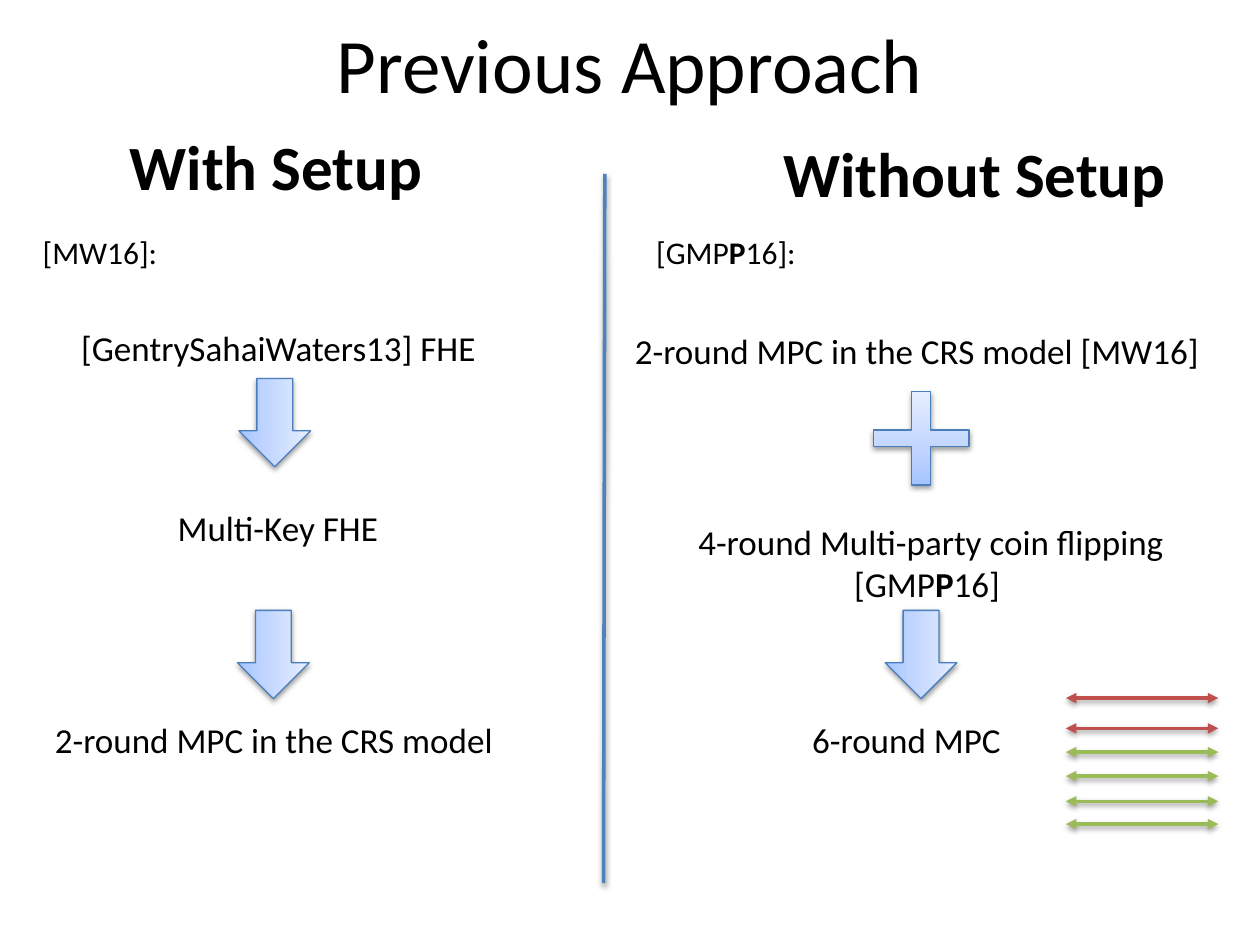
import copy
from dataclasses import dataclass

import lxml.etree
import pptx
import pptx.dml.color
import pptx.enum.shapes
import pptx.enum.text
import pptx.oxml.ns
import pptx.util

Pt = pptx.util.Pt
RGB = pptx.dml.color.RGBColor.from_string
qn = pptx.oxml.ns.qn
SHAPES = pptx.enum.shapes.MSO_SHAPE
ALIGN = pptx.enum.text.PP_ALIGN


@dataclass(frozen=True)
class Theme:
    font: str = "Calibri"
    text: str = "000000"
    outline: str = "4B7EBC"
    divider: str = "4F81BD"
    red: str = "C0504D"
    green: str = "9BBB59"
    gradient: tuple = ((0, "A4C4FF"), (0.35, "BFD4FF"), (1, "E6EEFF"))
    title_size: float = 44
    heading_size: float = 36
    step_size: float = 20
    citation_size: float = 18


class SlideBuilder:
    def __init__(self, slide, theme):
        self.slide = slide
        self.theme = theme

    def text(self, text, left, top, width, height, size, bold=False,
             align=ALIGN.CENTER, wrap=True, middle=False):
        """Add a text box; parts between asterisks are bold."""
        box = self.slide.shapes.add_textbox(Pt(left), Pt(top), Pt(width), Pt(height))
        frame = box.text_frame
        frame.word_wrap = wrap
        if middle:
            frame.vertical_anchor = pptx.enum.text.MSO_ANCHOR.MIDDLE
        else:
            frame.auto_size = pptx.enum.text.MSO_AUTO_SIZE.SHAPE_TO_FIT_TEXT
        paragraph = frame.paragraphs[0]
        paragraph.alignment = align
        font = paragraph.font
        font.name, font.size, font.bold = self.theme.font, Pt(size), bold
        font.color.rgb = RGB(self.theme.text)
        for index, part in enumerate(text.split("*")):
            run = paragraph.add_run()
            run.text = part
            if index % 2:
                run.font.bold = True

    def heading(self, text, left, top, width):
        self.text(text, left, top, width, 51, self.theme.heading_size,
                  bold=True, align=ALIGN.LEFT, wrap=False)

    def citation(self, text, left, width):
        self.text(text, left, 129.6, width, 29, self.theme.citation_size,
                  align=ALIGN.LEFT, wrap=False)

    def step(self, text, left, top, width, height=31.5):
        self.text(text, left, top, width, height, self.theme.step_size)

    def shadow(self, shape):
        properties = shape._element.spPr
        effects = lxml.etree.SubElement(properties, qn("a:effectLst"))
        outer = lxml.etree.SubElement(
            effects, qn("a:outerShdw"), blurRad=str(Pt(3.15)), dist=str(Pt(1.6)),
            dir="5400000", rotWithShape="0")
        color = lxml.etree.SubElement(outer, qn("a:srgbClr"), val="000000")
        lxml.etree.SubElement(color, qn("a:alpha"), val="38000")

    def gradient_shape(self, kind, left, top, width, height):
        shape = self.slide.shapes.add_shape(kind, Pt(left), Pt(top), Pt(width), Pt(height))
        shape.fill.gradient()
        shape.fill.gradient_angle = 90
        stop_list = shape._element.spPr.find(qn("a:gradFill")).find(qn("a:gsLst"))
        stop_list.append(copy.deepcopy(stop_list[-1]))
        for stop, (position, color) in zip(shape.fill.gradient_stops, self.theme.gradient):
            stop.position = position
            stop.color.rgb = RGB(color)
        shape.line.color.rgb = RGB(self.theme.outline)
        shape.line.width = Pt(0.75)
        self.shadow(shape)
        return shape

    def down_arrow(self, left, top):
        arrow = self.gradient_shape(SHAPES.RIGHT_ARROW, left, top, 50.4, 41)
        arrow.rotation = 90

    def plus(self, left, top, width, height):
        plus = self.gradient_shape(SHAPES.CROSS, left, top, width, height)
        plus.adjustments[0] = 0.41

    def line(self, x1, y1, x2, y2, color, arrows=False):
        connector = self.slide.shapes.add_connector(
            pptx.enum.shapes.MSO_CONNECTOR.STRAIGHT, Pt(x1), Pt(y1), Pt(x2), Pt(y2))
        connector.line.color.rgb = RGB(color)
        connector.line.width = Pt(2)
        if arrows:
            outline = connector.line._get_or_add_ln()
            for end in ("a:headEnd", "a:tailEnd"):
                lxml.etree.SubElement(outline, qn(end), type="triangle")
        self.shadow(connector)


def main():
    presentation = pptx.Presentation()
    presentation.slide_width, presentation.slide_height = Pt(720), Pt(540)
    theme = Theme()
    builder = SlideBuilder(
        presentation.slides.add_slide(presentation.slide_layouts[6]), theme)

    builder.text("Previous Approach", 36, -9.4, 648, 90, theme.title_size, middle=True)
    builder.line(345.6, 99.4, 344.9, 504.7, theme.divider)

    builder.heading("With Setup", 67, 69.1, 183.6)
    builder.citation("[MW16]:", 17.3, 80.6)
    builder.step("[GentrySahaiWaters13] FHE", -50.4, 182.9, 419)
    builder.down_arrow(131.8, 221)
    builder.step("Multi-Key FHE", -57.6, 285.8, 432.7)
    builder.down_arrow(131, 353.5)
    builder.step("2-round MPC in the CRS model ", 23.8, 406.8, 270)

    builder.heading("Without Setup", 440.6, 73.4, 235.4)
    builder.citation("[GMP*P*16]:", 367.9, 95)
    builder.step("2-round MPC in the CRS model [MW16] ", 344.9, 185, 362.9)
    builder.plus(499, 223.9, 54.7, 53.3)
    builder.step("4-round Multi-party coin flipping [GMP*P*16] ", 350.6, 293.8, 362.9, 55.4)
    builder.down_arrow(501.1, 353.5)
    builder.step("6-round MPC", 383, 406.8, 270)

    rounds = {theme.red: (398.9, 416.2), theme.green: (429.8, 443.5, 457.9, 470.9)}
    for color, heights in rounds.items():
        for y in heights:
            builder.line(609.1, y, 696.2, y, color, arrows=True)

    presentation.save("out.pptx")


if __name__ == "__main__":
    main()
